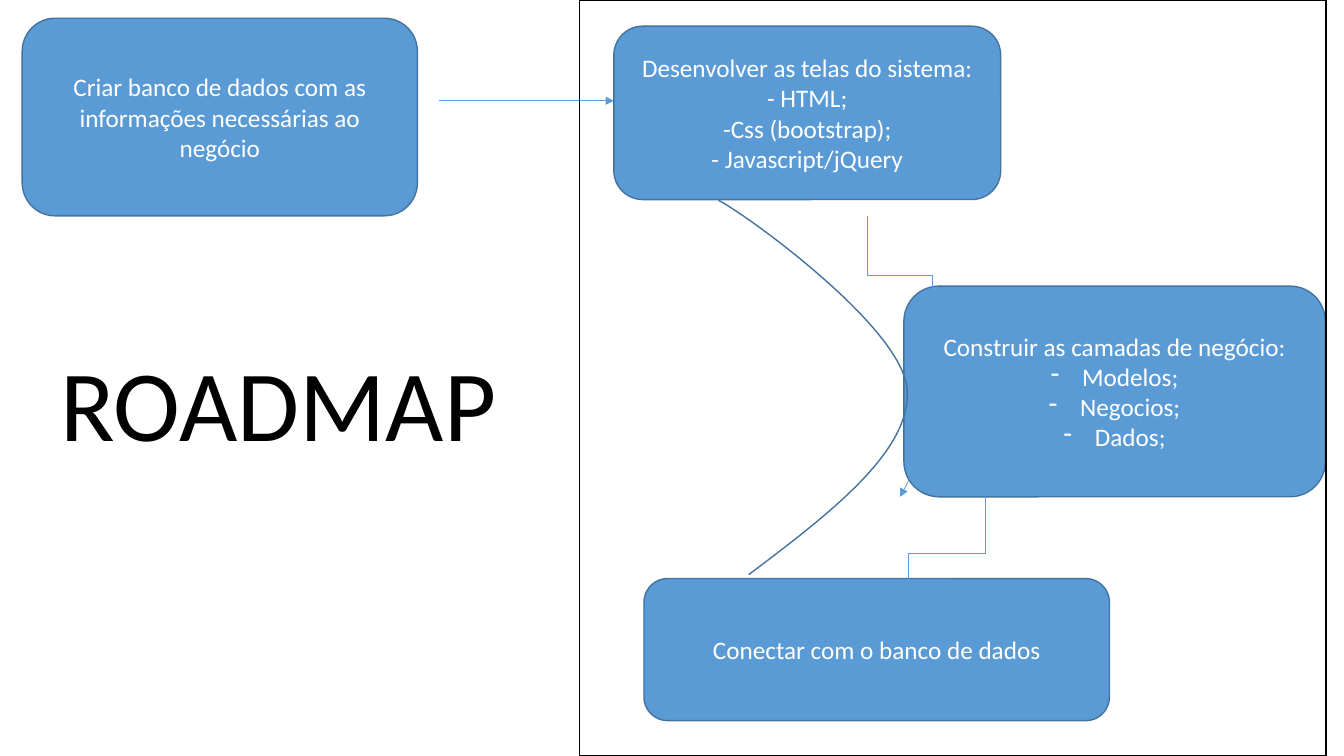
from pptx import Presentation
from pptx.dml.color import RGBColor
from pptx.enum.shapes import MSO_CONNECTOR as Link, MSO_SHAPE as Preset
from pptx.enum.text import MSO_ANCHOR as Anchor, PP_ALIGN as Align
from pptx.oxml.ns import qn
from pptx.oxml.xmlchemy import OxmlElement as make_element
from pptx.util import Cm, Pt

BLUE, EDGE, BLACK, WHITE = "5B9BD5", "43739E", "000000", "FFFFFF"
BODY = {"name": "Calibri", "size": Pt(18)}
HEADLINE = {"name": "Calibri", "size": Pt(72)}


def colour(value):
    """Turn a hex string into a colour."""
    return RGBColor.from_string(value)


def set_line(shape, value, width):
    """Give an outline its colour and width in points."""
    shape.line.color.rgb = colour(value)
    shape.line.width = Pt(width)


def write(para, text, formats, value):
    """Fill a paragraph and format its runs."""
    para.text = text
    for span in para.runs:
        for name, setting in formats.items():
            setattr(span.font, name, setting)
        span.font.color.rgb = colour(value)


def add_dash(para):
    """Put a dash bullet with a hanging indent before a paragraph."""
    props = para._p.get_or_add_pPr()
    props.set("marL", str(Cm(0.79)))
    props.set("indent", str(-Cm(0.79)))
    bullet = make_element("a:buChar")
    bullet.set("char", "-")
    props.append(bullet)


def add_step(page, place, text, items=()):
    """Draw a rounded step box with optional dashed items."""
    box = page.shapes.add_shape(Preset.ROUNDED_RECTANGLE, *map(Cm, place))
    box.shadow.inherit = False
    box.fill.solid()
    box.fill.fore_color.rgb = colour(BLUE)
    set_line(box, EDGE, 1)
    frame = box.text_frame
    frame.word_wrap = True
    frame.vertical_anchor = Anchor.MIDDLE
    write(frame.paragraphs[0], text, BODY, WHITE)
    for item in items:
        para = frame.add_paragraph()
        write(para, item, BODY, WHITE)
        add_dash(para)
    for para in frame.paragraphs:
        para.alignment = Align.CENTER


def add_arrow(page, start, end, kind=Link.STRAIGHT):
    """Draw a thin connector with an arrowhead at its end."""
    arrow = page.shapes.add_connector(kind, *map(Cm, start + end))
    set_line(arrow, BLUE, 0.5)
    head = make_element("a:tailEnd")
    head.set("type", "triangle")
    arrow.line._get_or_add_ln().append(head)
    arrow._element.spPr.append(make_element("a:effectLst"))
    return arrow


def add_elbow(page, start, end):
    """Draw an elbow arrow that leaves and arrives vertically."""
    (x1, y1), (x2, y2) = start, end
    middle_x, middle_y = (x1 + x2) / 2, (y1 + y2) / 2
    half_x, half_y = (x2 - x1) / 2, (y2 - y1) / 2
    elbow = add_arrow(page, (middle_x - half_y, middle_y + half_x),
                      (middle_x + half_y, middle_y - half_x), Link.ELBOW)
    elbow._element.spPr.find(qn("a:xfrm")).set("rot", str(90 * 60000))


def add_curve(page, start, points):
    """Draw an open curve of cubic pieces, three points to a piece."""
    builder = page.shapes.build_freeform(*map(Cm, start))
    builder.add_line_segments([tuple(map(Cm, point)) for point in points], close=False)
    curve = builder.convert_to_shape()
    curve.shadow.inherit = False
    curve.fill.background()
    set_line(curve, EDGE, 1)
    segments = list(curve._element.iter(qn("a:lnTo")))
    outline = segments[0].getparent()
    for first in range(0, len(segments), 3):
        cubic = make_element("a:cubicBezTo")
        outline.append(cubic)
        for segment in segments[first:first + 3]:
            cubic.append(segment[0])
            outline.remove(segment)


def add_border(page, place):
    """Draw an unfilled black rectangle."""
    border = page.shapes.add_shape(Preset.RECTANGLE, *map(Cm, place))
    border.shadow.inherit = False
    border.fill.background()
    set_line(border, BLACK, 1)


def add_headline(page, place, text):
    """Write the large slide heading."""
    box = page.shapes.add_textbox(*map(Cm, place))
    box.text_frame.word_wrap = True
    write(box.text_frame.paragraphs[0], text, HEADLINE, BLACK)


def main():
    """Build the roadmap slide and save it."""
    deck = Presentation()
    deck.slide_width, deck.slide_height = Cm(33.87), Cm(19.05)
    page = deck.slides.add_slide(deck.slide_layouts[6])
    add_step(page, (0.56, 0.46, 9.96, 4.98),
             "Criar banco de dados com as informações necessárias ao negócio")
    add_arrow(page, (11.07, 2.54), (15.47, 2.54))
    add_step(page, (15.47, 0.66, 9.75, 4.37),
             "Desenvolver as telas do sistema:\n- HTML;\n-Css (bootstrap);\n- Javascript/jQuery")
    add_step(page, (22.78, 7.21, 10.62, 5.31), "Construir as camadas de negócio:",
             ("Modelos;", "Negocios;", "Dados;"))
    add_elbow(page, (21.87, 5.44), (23.5, 8.46))
    add_border(page, (14.6, 0, 18.82, 19.05))
    add_arrow(page, (23.09, 11.76), (22.68, 12.52))
    add_step(page, (16.23, 14.58, 11.73, 3.58), "Conectar com o banco de dados")
    add_elbow(page, (24.84, 11.76), (22.89, 16.15))
    add_curve(page, (18.87, 14.48),
              [(20.93, 12.93), (22.99, 11.35), (22.86, 9.8),
               (22.73, 8.23), (18.77, 5.38), (18.11, 5.05)])
    add_headline(page, (1.27, 8.46, 11.99, 3.33), "ROADMAP")
    deck.save("out.pptx")


if __name__ == "__main__":
    main()
